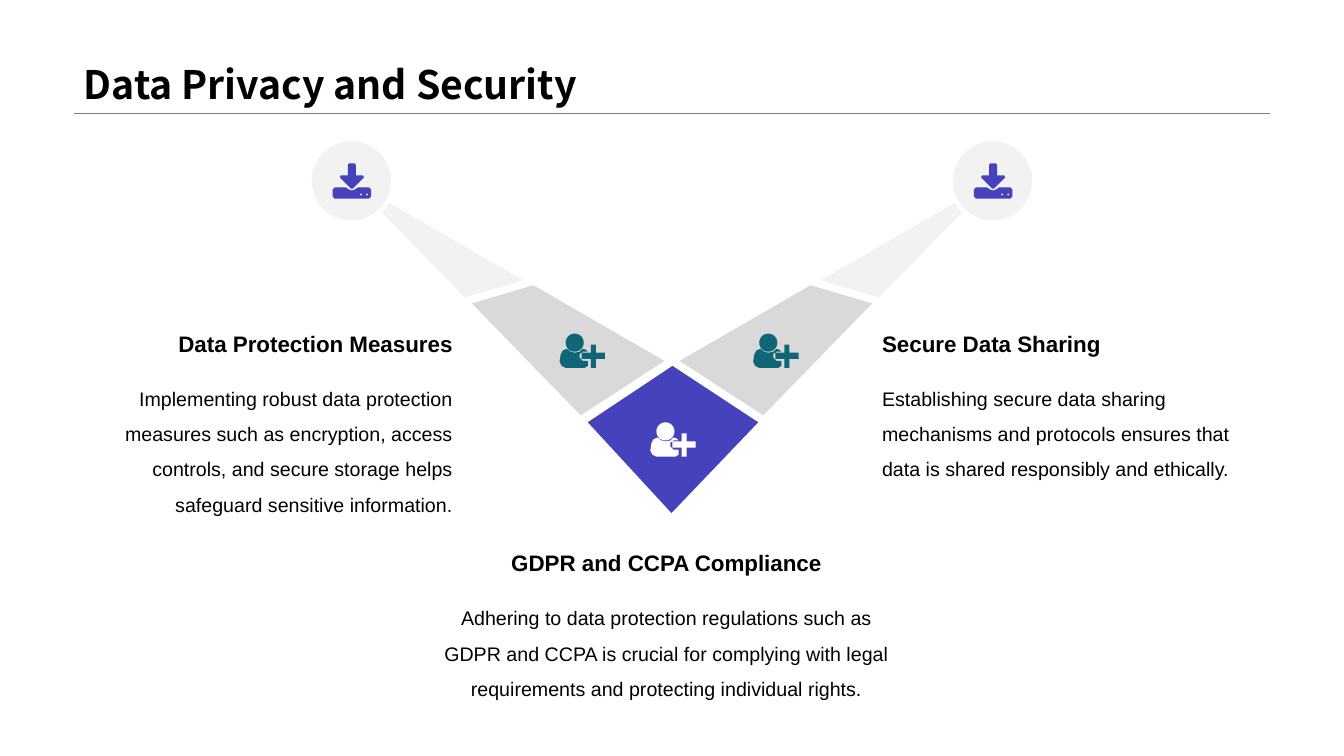
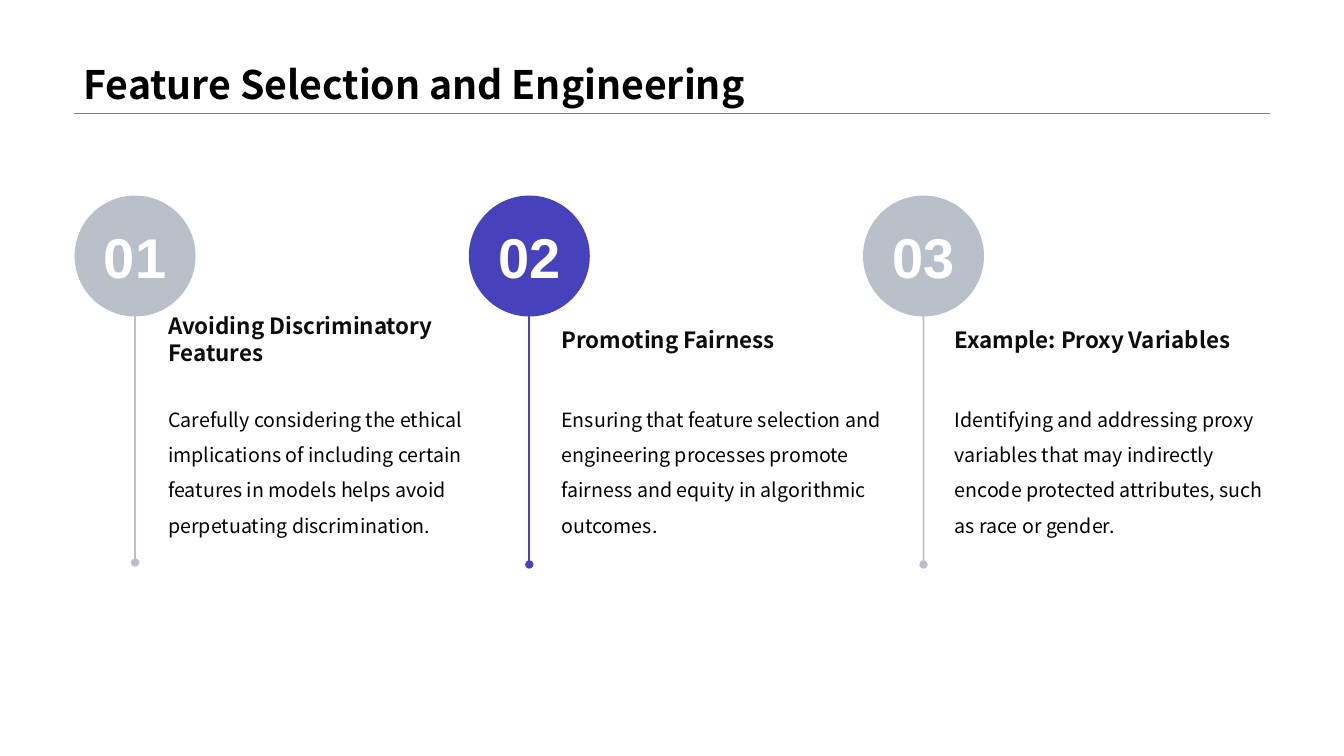
import math

import pptx
import pptx.util
import pptx.dml.color
import pptx.enum.shapes
import pptx.enum.text
import pptx.oxml
import pptx.oxml.ns

Inches = pptx.util.Inches
ALIGN = pptx.enum.text.PP_ALIGN
ANCHOR = pptx.enum.text.MSO_ANCHOR

SLIDE_WIDTH = 13.33
LEFT_MARGIN, CONTENT_WIDTH, TITLE_BOTTOM = 0.73, 11.87, 1.12
HEADING_FONT, BODY_FONT = "Noto Sans CJK SC", "Arial"
BLACK, WHITE, RULE_GRAY = "000000", "FFFFFF", "808080"
INDIGO, TEAL, SLATE = "4542BB", "106677", "768394"
PALE_GRAY, MID_GRAY, INK = "F2F2F2", "D9D9D9", "0D0D0D"


def ring(center_x, center_y, radius, count=24):
    """Return points evenly spaced on a circle."""
    angles = [2 * math.pi * step / count for step in range(count)]
    return [(center_x + radius * math.cos(angle),
             center_y + radius * math.sin(angle)) for angle in angles]


PERSON_ICON = [
    ring(0.15, 0.09, 0.09),
    [(0.07, 0.15), (0.11, 0.18), (0.15, 0.19), (0.2, 0.18), (0.23, 0.15),
     (0.26, 0.16), (0.28, 0.18), (0.23, 0.18), (0.2, 0.2), (0.2, 0.24),
     (0.23, 0.27), (0.28, 0.27), (0.28, 0.32), (0.25, 0.34), (0.06, 0.34),
     (0.02, 0.32), (0, 0.28), (0.01, 0.21), (0.03, 0.17)],
    [(0.31, 0.11), (0.36, 0.11), (0.36, 0.19), (0.45, 0.19), (0.45, 0.25),
     (0.36, 0.25), (0.36, 0.34), (0.31, 0.34), (0.31, 0.25), (0.22, 0.25),
     (0.22, 0.19), (0.31, 0.19)],
]
DOWNLOAD_ICON = [
    [(0.02, 0.24), (0.13, 0.24), (0.16, 0.26), (0.19, 0.27), (0.22, 0.26),
     (0.25, 0.24), (0.36, 0.24), (0.38, 0.26), (0.38, 0.33), (0.36, 0.35),
     (0.02, 0.35), (0, 0.33), (0, 0.26)],
    [(0.16, 0), (0.22, 0), (0.23, 0.02), (0.23, 0.12), (0.3, 0.12),
     (0.31, 0.14), (0.2, 0.25), (0.18, 0.25), (0.07, 0.14), (0.08, 0.12),
     (0.15, 0.12), (0.15, 0.02)],
    ring(0.28, 0.31, 0.01),
    ring(0.34, 0.31, 0.01),
]


def rgb(hex_color):
    return pptx.dml.color.RGBColor.from_string(hex_color)


def set_solid(fill, color, opacity=100):
    """Apply a solid colour, with an opacity in percent."""
    fill.solid()
    fill.fore_color.rgb = rgb(color)
    if opacity < 100:
        color_element = fill._xPr.find(".//" + pptx.oxml.ns.qn("a:srgbClr"))
        alpha = pptx.oxml.parse_xml(
            f'<a:alpha {pptx.oxml.ns.nsdecls("a")} val="{opacity * 1000}"/>')
        color_element.append(alpha)


def write_text(shape, text, *, size, color=BLACK, font=BODY_FONT, bold=False,
               align=ALIGN.LEFT, anchor=ANCHOR.TOP, spacing=1.0):
    frame = shape.text_frame
    frame.word_wrap = True
    frame.auto_size = pptx.enum.text.MSO_AUTO_SIZE.NONE
    frame.vertical_anchor = anchor
    frame.text = text
    paragraph = frame.paragraphs[0]
    paragraph.alignment = align
    paragraph.line_spacing = spacing
    paragraph.space_before = pptx.util.Pt(0)
    paragraph.font.size = pptx.util.Pt(size)
    paragraph.font.name = font
    paragraph.font.bold = bold
    paragraph.font.color.rgb = rgb(color)


def add_text(slide, box, text, **text_format):
    shape = slide.shapes.add_textbox(*map(Inches, box))
    write_text(shape, text, **text_format)


def style_shape(shape, color, opacity=100):
    shape.shadow.inherit = False
    set_solid(shape.fill, color, opacity)
    shape.line.fill.background()


def add_circle(slide, left, top, diameter, color, opacity=100):
    circle = slide.shapes.add_shape(
        pptx.enum.shapes.MSO_SHAPE.OVAL,
        *map(Inches, (left, top, diameter, diameter)))
    style_shape(circle, color, opacity)
    return circle


def add_outline(slide, contours, color, left=0, top=0):
    """Draw closed contours, offset by left and top, as one shape."""
    placed = [[(Inches(left + x), Inches(top + y)) for x, y in contour]
              for contour in contours]
    builder = slide.shapes.build_freeform(*placed[0][0])
    for contour in placed:
        builder.move_to(*contour[0])
        builder.add_line_segments(contour[1:], close=True)
    style_shape(builder.convert_to_shape(), color)


def add_line(slide, start, end, color, width, opacity=100, dot=False):
    """Draw a straight line, with a round dot at its end if asked."""
    connector = slide.shapes.add_connector(
        pptx.enum.shapes.MSO_CONNECTOR.STRAIGHT, *map(Inches, start + end))
    connector.line.width = pptx.util.Pt(width)
    set_solid(connector.line.fill, color, opacity)
    namespace = pptx.oxml.ns.nsdecls("a")
    if dot:
        connector.line._get_or_add_ln().append(
            pptx.oxml.parse_xml(f'<a:tailEnd {namespace} type="oval"/>'))
    connector._element.spPr.append(
        pptx.oxml.parse_xml(f"<a:effectLst {namespace}/>"))


def add_titled_slide(presentation, title):
    slide = presentation.slides.add_slide(presentation.slide_layouts[5])
    add_line(slide, (LEFT_MARGIN, TITLE_BOTTOM),
             (LEFT_MARGIN + CONTENT_WIDTH, TITLE_BOTTOM), RULE_GRAY, 0.25)
    placeholder = slide.shapes.title
    placeholder.left, placeholder.top = Inches(LEFT_MARGIN), Inches(0)
    placeholder.width = Inches(CONTENT_WIDTH)
    placeholder.height = Inches(TITLE_BOTTOM)
    write_text(placeholder, title, size=28, font=HEADING_FONT, bold=True,
               anchor=ANCHOR.BOTTOM, spacing=0.9)
    return slide


def add_download_badge(slide, left, top):
    circle = add_circle(slide, left, top, 0.83, PALE_GRAY)
    set_solid(circle.line.fill, WHITE)
    circle.line.width = pptx.util.Pt(3)
    add_outline(slide, DOWNLOAD_ICON, INDIGO, left + 0.23, top + 0.24)


def add_v_diagram(slide):
    arm = [
        ([(5.29, 2.83), (4.68, 3.01), (5.76, 4.12), (6.59, 3.58)], MID_GRAY),
        ([(4.61, 2.95), (5.19, 2.78), (3.49, 1.8)], PALE_GRAY),
    ]
    for points, color in arm:
        add_outline(slide, [points], color)
        add_outline(slide, [[(SLIDE_WIDTH - x, y) for x, y in points]], color)
    add_outline(slide, [[(6.67, 3.63), (5.83, 4.19), (6.66, 5.09), (7.52, 4.19)]],
                INDIGO)
    for left in (3.07, 9.43):
        add_download_badge(slide, left, 1.38)
    for left, top, color in ((5.55, 3.31, TEAL), (7.47, 3.31, TEAL),
                             (6.45, 4.19, WHITE)):
        add_outline(slide, PERSON_ICON, color, left, top)


def add_privacy_slide(presentation):
    slide = add_titled_slide(presentation, "Data Privacy and Security")
    add_v_diagram(slide)
    topics = [
        (0.73, 3.09, 3.86, ALIGN.RIGHT, "Data Protection Measures",
         "Implementing robust data protection measures such as encryption, "
         "access controls, and secure storage helps safeguard sensitive "
         "information."),
        (8.65, 3.09, 3.95, ALIGN.LEFT, "Secure Data Sharing",
         "Establishing secure data sharing mechanisms and protocols ensures "
         "that data is shared responsibly and ethically."),
        (4.22, 5.27, 4.78, ALIGN.CENTER, "GDPR and CCPA Compliance",
         "Adhering to data protection regulations such as GDPR and CCPA is "
         "crucial for complying with legal requirements and protecting "
         "individual rights."),
    ]
    for left, top, width, align, heading, body in topics:
        add_text(slide, (left, top, width, 0.46), heading, size=16, bold=True,
                 align=align, spacing=1.5)
        add_text(slide, (left, top + 0.58, width, 1.12), body, size=14,
                 align=align, spacing=1.5)


def add_features_slide(presentation):
    slide = add_titled_slide(presentation, "Feature Selection and Engineering")
    steps = [
        (SLATE, 50, 5.58, "Avoiding Discriminatory Features",
         "Carefully considering the ethical implications of including certain "
         "features in models helps avoid perpetuating discrimination."),
        (INDIGO, 100, 5.6, "Promoting Fairness",
         "Ensuring that feature selection and engineering processes promote "
         "fairness and equity in algorithmic outcomes."),
        (SLATE, 50, 5.6, "Example: Proxy Variables",
         "Identifying and addressing proxy variables that may indirectly "
         "encode protected attributes, such as race or gender."),
    ]
    diameter, circle_top = 1.2, 1.94
    for index, (color, opacity, line_end, heading, body) in enumerate(steps):
        left = 0.74 + index * 3.91
        center = left + diameter / 2
        circle = add_circle(slide, left, circle_top, diameter, color, opacity)
        write_text(circle, f"{index + 1:02}", size=40, color=WHITE, bold=True,
                   align=ALIGN.CENTER, anchor=ANCHOR.MIDDLE)
        add_line(slide, (center, circle_top + diameter), (center, line_end),
                 color, 1.25, opacity, dot=True)
        text_left = 1.57 + index * 3.9
        add_text(slide, (text_left, 3.18, 3.39, 0.37), heading, size=16,
                 color=INK, font=HEADING_FONT, bold=True, anchor=ANCHOR.MIDDLE)
        add_text(slide, (text_left, 3.88, 3.39, 1.29), body, size=14,
                 font=HEADING_FONT, spacing=1.5)


def main():
    presentation = pptx.Presentation()
    presentation.slide_width = Inches(SLIDE_WIDTH)
    presentation.slide_height = Inches(7.5)
    add_privacy_slide(presentation)
    add_features_slide(presentation)
    presentation.save("out.pptx")


if __name__ == "__main__":
    main()
